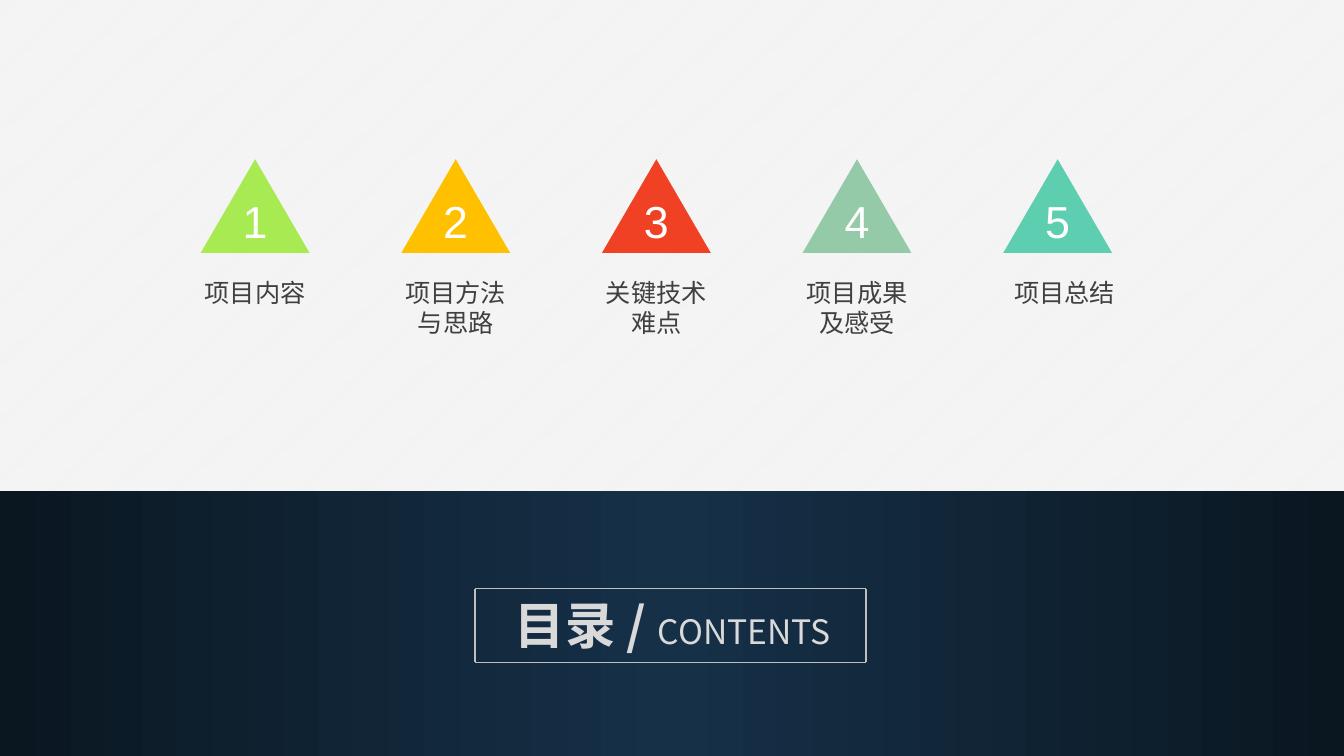
"""Builds the contents slide: five numbered triangles above a dark title band."""
from dataclasses import dataclass
from lxml import etree
from pptx import Presentation
from pptx import util as u
from pptx.dml.color import RGBColor
from pptx.enum import dml, shapes, text
from pptx.oxml import ns

TOPICS = [
    (["项目内容"], "A7EA52", 0),
    (["项目方法", "与思路"], "FFC000", 0),
    (["关键技术", "难点"], "F14124", 0),
    (["项目成果", "及感受"], "94CAA8", 0),
    (["项目总结"], "5DCEAF", 0.07),
]
HEADING = ("目录 / ", "CONTENTS")


@dataclass(frozen=True)
class Theme:
    cjk: str = "Noto Sans CJK SC"
    latin: str = "Arial"
    paper: str = "F2F2F2"
    white: str = "FFFFFF"
    label: str = "404040"
    heading: str = "D9D9D9"
    frame: str = "BFBFBF"
    glow: str = "163048"
    night: str = "0A1721"
    label_size: int = 18
    number_size: int = 32
    heading_size: int = 36
    subheading_size: int = 24


T = Theme()
WIDTH, HEIGHT = 13.33, 7.5
BAND_TOP = 0.65 * HEIGHT
FIRST_CENTER, PITCH = 2.53, 1.99
TRIANGLE_TOP, TRIANGLE_W, TRIANGLE_H = 1.58, 1.08, 0.93
NUMBER_TOP, NUMBER_W, NUMBER_H = 1.87, 0.45, 0.64
LABEL_TOP, LABEL_W, LINE_H = 2.7, 1.21, 0.31
FRAME = (4.71, 5.84, 8.59, 6.57)
HEADING_BOX = (4.86, 5.84, 3.62, 0.71)


def inches(*values):
    return [u.Inches(v) for v in values]


def rgb(value):
    return RGBColor.from_string(value)


def add_run(p, words, size, color, font=T.cjk, bold=False):
    r = p.add_run()
    r.text = words
    r.font.size, r.font.bold, r.font.name = u.Pt(size), bold, font
    r.font.color.rgb = rgb(color)
    etree.SubElement(r.font._element, ns.qn("a:ea"), typeface=font)


def add_text(parent, box, lines, **style):
    tf = parent.add_textbox(*inches(*box)).text_frame
    tf.word_wrap = False
    tf.auto_size = text.MSO_AUTO_SIZE.SHAPE_TO_FIT_TEXT
    for i, line in enumerate(lines):
        p = tf.add_paragraph() if i else tf.paragraphs[0]
        p.alignment = text.PP_ALIGN.CENTER
        add_run(p, line, **style)


def add_band(s):
    half = WIDTH / 2
    for left, turn in ((0, 180), (half, 0)):
        sp = s.shapes.add_shape(shapes.MSO_SHAPE.RECTANGLE,
                                *inches(left, BAND_TOP, half, HEIGHT - BAND_TOP))
        sp.shadow.inherit = False
        sp.rotation = turn
        sp.line.fill.background()
        sp.fill.gradient()
        sp.fill.gradient_angle = 0
        for stop, color in zip(sp.fill.gradient_stops, (T.glow, T.night)):
            stop.color.rgb = rgb(color)


def add_topic(s, index, lines, color, shift):
    center = FIRST_CENTER + index * PITCH
    add_text(s.shapes, (center + shift - LABEL_W / 2, LABEL_TOP, LABEL_W,
                        0.09 + LINE_H * len(lines)),
             lines, size=T.label_size, color=T.label)
    group = s.shapes.add_group_shape().shapes
    sp = group.add_shape(shapes.MSO_SHAPE.ISOSCELES_TRIANGLE,
                         *inches(center - TRIANGLE_W / 2, TRIANGLE_TOP, TRIANGLE_W, TRIANGLE_H))
    sp.shadow.inherit = False
    sp.line.fill.background()
    sp.fill.solid()
    sp.fill.fore_color.rgb = rgb(color)
    add_text(group, (center - NUMBER_W / 2, NUMBER_TOP, NUMBER_W, NUMBER_H),
             [str(index + 1)], size=T.number_size, color=T.white, font=T.latin)


def add_frame(s):
    x1, y1, x2, y2 = FRAME
    corners = [(x1, y1), (x2, y1), (x2, y2), (x1, y2)]
    for start, end in zip(corners, corners[1:] + corners[:1]):
        line = s.shapes.add_connector(shapes.MSO_CONNECTOR.STRAIGHT, *inches(*start, *end))
        line.line.color.rgb = rgb(T.frame)
        line.line.width = u.Pt(1)
        etree.SubElement(line._element.spPr, ns.qn("a:effectLst"))


def fill_title(s):
    title = s.shapes.title
    title.left, title.top, title.width, title.height = inches(*HEADING_BOX)
    tf = title.text_frame
    tf.word_wrap = True
    tf.auto_size = text.MSO_AUTO_SIZE.SHAPE_TO_FIT_TEXT
    tf.vertical_anchor = text.MSO_ANCHOR.TOP
    p = tf.paragraphs[0]
    p.alignment = text.PP_ALIGN.CENTER
    add_run(p, HEADING[0], T.heading_size, T.heading, bold=True)
    add_run(p, HEADING[1], T.subheading_size, T.heading)
    s.shapes._spTree.append(title._element)


def main():
    prs = Presentation()
    prs.slide_width, prs.slide_height = inches(WIDTH, HEIGHT)
    s = prs.slides.add_slide(prs.slide_layouts[5])
    fill = s.background.fill
    fill.patterned()
    fill.pattern = dml.MSO_PATTERN.LIGHT_UPWARD_DIAGONAL
    fill.fore_color.rgb = rgb(T.white)
    fill.back_color.rgb = rgb(T.paper)
    add_band(s)
    for i, topic in enumerate(TOPICS):
        add_topic(s, i, *topic)
    fill_title(s)
    add_frame(s)
    prs.save("out.pptx")


if __name__ == "__main__":
    main()
